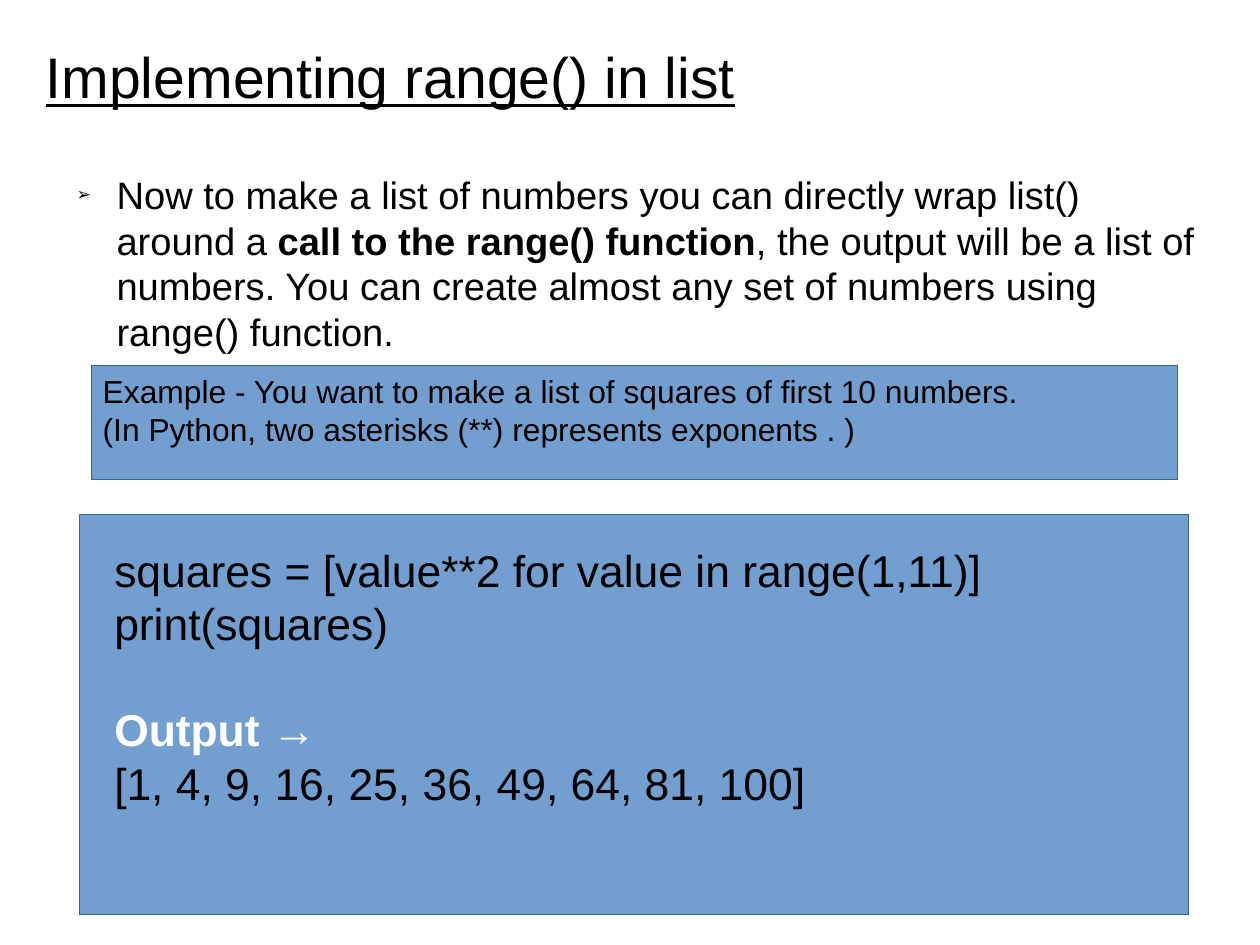
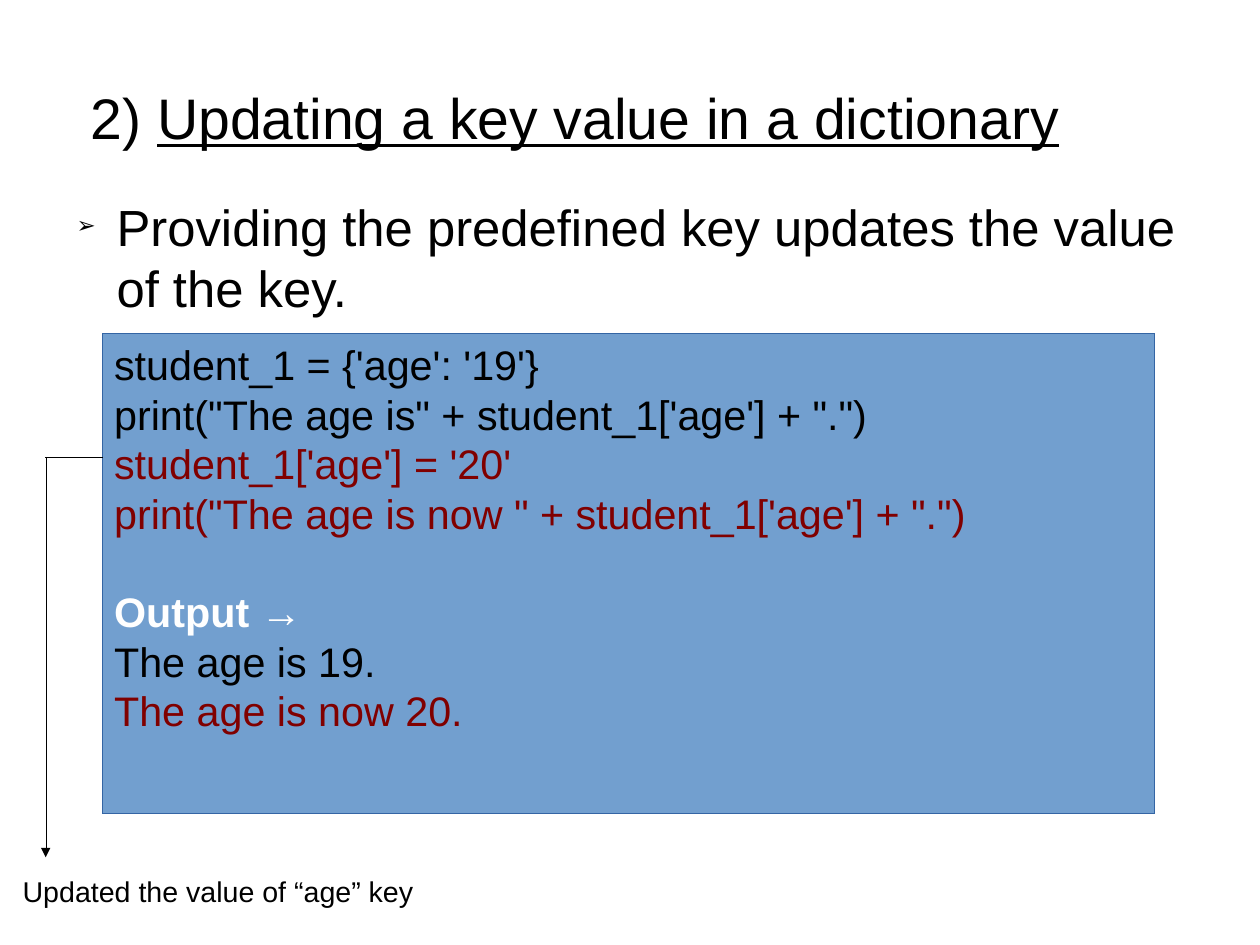
from pptx import Presentation
from pptx.dml.color import RGBColor
from pptx.enum.shapes import MSO_CONNECTOR, MSO_SHAPE
from pptx.enum.text import MSO_ANCHOR, PP_ALIGN
from pptx.oxml.ns import qn
from pptx.util import Inches, Pt
from lxml.etree import SubElement

CM_PER_INCH = 2.54
PAGE_WIDTH, PAGE_HEIGHT = 28 / CM_PER_INCH, 21 / CM_PER_INCH
COLORS = {"ink": "000000", "panel": "729FCF", "edge": "3465A4",
          "output": "FFFFFF", "changed": "800000"}
FONT = "Arial"
HAIRLINE = Pt(0.01)
BLANK_LINE = 1.19  # height of an empty line as a share of the text size
PLAIN_INSETS = (0, 0)
BOX_INSETS = (0.1, 0.05)

# Run styles
UNDERLINED = {"underline": True}
BOLD = {"bold": True}
CHANGED = {"color": "changed"}
OUTPUT = {"bold": True, "color": "output"}

# Content: runs and lines are (text, style) pairs
SLIDES = [
    {
        "title": {"at": (0.4, 0.13, 9.92, 1.07), "indent": 0,
                  "runs": [("Implementing range() in list", UNDERLINED)]},
        "bullet": {"at": (0.55, 1.5, 9.92, 6.5), "size": 24, "runs": [
            ("Now to make a list of numbers you can directly wrap list() around a ", {}),
            ("call to the range() function", BOLD),
            (", the output will be a list of numbers. You can create almost any "
             "set of numbers using range() function.", {})]},
        "panels": [
            {"at": (0.8, 3.2, 9.5, 1), "size": 20, "insets": BOX_INSETS, "lines": [
                ("Example - You want to make a list of squares of first 10 numbers.", {}),
                ("(In Python, two asterisks (**) represents exponents . )", {})]},
            {"at": (0.7, 4.5, 9.7, 3.5), "size": 28, "insets": (0.3, 0.25), "lines": [
                ("squares = [value**2 for value in range(1,11)]", {}),
                ("print(squares)", {}),
                ("Output →", OUTPUT),
                ("[1, 4, 9, 16, 25, 36, 49, 64, 81, 100]", {})]},
        ],
    },
    {
        "title": {"at": (0.55, 0.33, 9.92, 1.38), "indent": 0.24,
                  "runs": [("2) ", {}),
                           ("Updating a key value in a dictionary", UNDERLINED)]},
        "bullet": {"at": (0.55, 1.71, 9.92, 6.09), "size": 32, "runs": [
            ("Providing the predefined key updates the value of the key.", {})]},
        "panels": [
            {"at": (0.9, 2.92, 9.2, 4.2), "size": 26, "insets": BOX_INSETS, "lines": [
                ("student_1 = {'age': '19'}", {}),
                ("print(\"The age is\" + student_1['age'] + \".\")", {}),
                ("student_1['age'] = '20'", CHANGED),
                ("print(\"The age is now \" + student_1['age'] + \".\")", CHANGED),
                ("Output →", OUTPUT),
                ("The age is 19.", {}),
                ("The age is now 20.", CHANGED)]},
        ],
        "callout": {"at": (0.1, 7.6, 3.8, 0.38), "size": 18,
                    "text": "Updated the value of “age” key",
                    "route": [(0.9, 4), (0.4, 4), (0.4, 7.5)]},
    },
]


def rgb(name):
    return RGBColor.from_string(COLORS[name])


def add_runs(para, runs, size):
    for text, style in runs:
        span = para.add_run()
        span.text = text
        look = {"name": FONT, "size": Pt(size), **style}
        color = look.pop("color", "ink")
        for key, value in look.items():
            setattr(span.font, key, value)
        span.font.color.rgb = rgb(color)


def set_frame(frame, insets, anchor=MSO_ANCHOR.TOP):
    across, down = (Inches(inset) for inset in insets)
    settings = {"word_wrap": True, "vertical_anchor": anchor,
                "margin_left": across, "margin_right": across,
                "margin_top": down, "margin_bottom": down}
    for key, value in settings.items():
        setattr(frame, key, value)


def add_text(page, at, runs, size, insets=PLAIN_INSETS, anchor=MSO_ANCHOR.TOP):
    frame = page.shapes.add_textbox(*map(Inches, at)).text_frame
    set_frame(frame, insets, anchor)
    para = frame.paragraphs[0]
    add_runs(para, runs, size)
    return para


def set_indent(para, left, first=0):
    props = para._p.get_or_add_pPr()
    props.set("marL", str(Inches(left)))
    props.set("indent", str(Inches(first)))
    return props


def add_title(page, title):
    para = add_text(page, title["at"], title["runs"], 36, anchor=MSO_ANCHOR.MIDDLE)
    set_indent(para, title["indent"])


def add_bullet(page, bullet):
    para = add_text(page, bullet["at"], bullet["runs"], bullet["size"])
    props = set_indent(para, 0.47, -0.35)
    color = SubElement(props, qn("a:buClr"))
    SubElement(color, qn("a:srgbClr"), val=COLORS["ink"])
    SubElement(props, qn("a:buSzPct"), val="45000")
    SubElement(props, qn("a:buFont"), typeface=FONT)
    SubElement(props, qn("a:buChar"), char="➢")


def add_panel(page, panel):
    box = page.shapes.add_shape(MSO_SHAPE.RECTANGLE, *map(Inches, panel["at"]))
    box.shadow.inherit = False
    box.fill.solid()
    box.fill.fore_color.rgb = rgb("panel")
    box.line.color.rgb = rgb("edge")
    box.line.width = HAIRLINE
    frame = box.text_frame
    set_frame(frame, panel["insets"])
    for index, (text, style) in enumerate(panel["lines"]):
        para = frame.add_paragraph() if index else frame.paragraphs[0]
        para.alignment = PP_ALIGN.LEFT
        if style is OUTPUT:  # one line of air above the output
            para.space_before = Pt(panel["size"] * BLANK_LINE)
        add_runs(para, [(text, style)], panel["size"])


def add_callout(page, callout):
    route = callout["route"]
    for start, end in zip(route, route[1:]):
        line = page.shapes.add_connector(MSO_CONNECTOR.STRAIGHT,
                                         *map(Inches, start + end))
        line.line.color.rgb = rgb("ink")
        line.line.width = HAIRLINE
        props = line._element.spPr
        if end == route[-1]:
            SubElement(props.find(qn("a:ln")), qn("a:tailEnd"), type="triangle")
        SubElement(props, qn("a:effectLst"))
    add_text(page, callout["at"], [(callout["text"], {})], callout["size"], BOX_INSETS)


def main():
    deck = Presentation()
    deck.slide_width = Inches(PAGE_WIDTH)
    deck.slide_height = Inches(PAGE_HEIGHT)
    for content in SLIDES:
        page = deck.slides.add_slide(deck.slide_layouts[6])
        add_title(page, content["title"])
        add_bullet(page, content["bullet"])
        for panel in content["panels"]:
            add_panel(page, panel)
        if "callout" in content:
            add_callout(page, content["callout"])
    deck.save("out.pptx")


if __name__ == "__main__":
    main()
